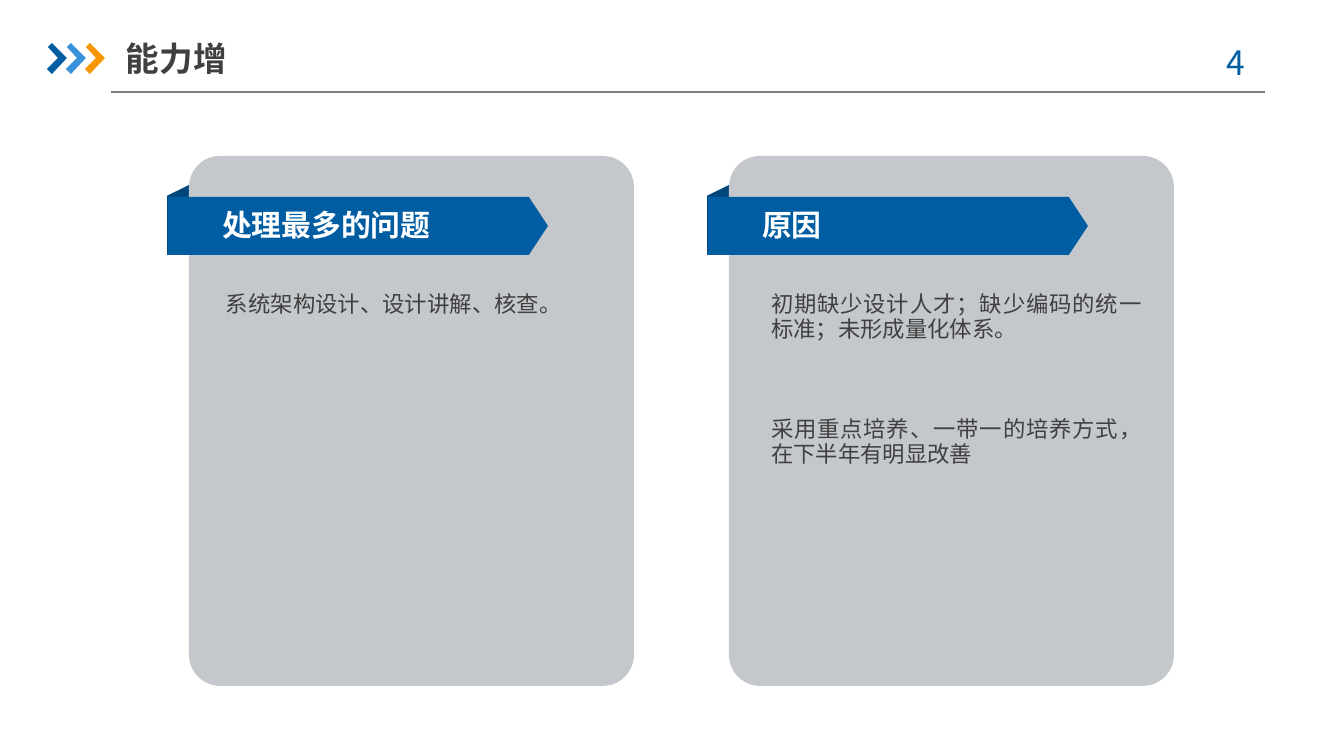
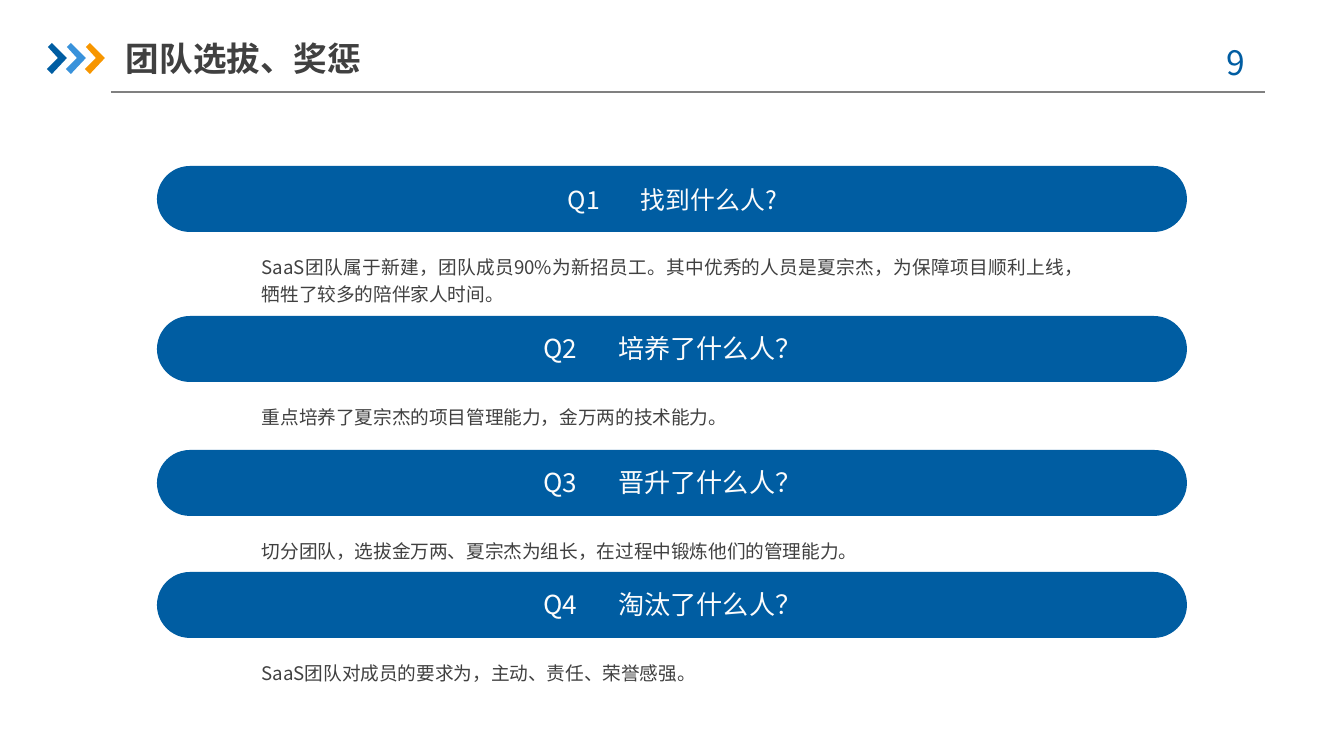
from pptx import Presentation
from pptx.dml.color import RGBColor
from pptx.enum.shapes import MSO_CONNECTOR, MSO_SHAPE
from pptx.enum.text import MSO_ANCHOR, MSO_AUTO_SIZE, PP_ALIGN
from pptx.oxml.ns import qn
from pptx.util import Pt
from lxml.etree import SubElement

SCALE = 914400 / 134.4  # EMU in one px
WIDE, HIGH = 1344, 756
FONT = "Noto Sans CJK SC"
BLUE, SKY, GOLD, NAVY = "005DA2", "3992DB", "F79600", "00467A"
INK, GRAY, PANEL, WHITE, PALE = "404040", "808080", "C4C7CB", "FFFFFF", "FCFCFC"
CHEVRON = [(1, 4), (5, 0), (20, 15), (5, 31), (0, 26), (11, 15)]

CARDS = [
    ("处理最多的问题", 37, [(137, 24, "系统架构设计、设计讲解、核查。")]),
    ("原因", 42, [
        (137, 48, "初期缺少设计人才；缺少编码的统一标准；未形成量化体系。"),
        (262, 48, "采用重点培养、一带一的培养方式，在下半年有明显改善"),
    ]),
]
# Bar top, question, size, line spacing, answer
ITEMS = [
    (166, "找到什么人?", 13.3, 1.0,
     "SaaS团队属于新建，团队成员90%为新招员工。其中优秀的人员是夏宗杰，"
     "为保障项目顺利上线，牺牲了较多的陪伴家人时间。"),
    (316, "培养了什么人？", 14, 0.9,
     "重点培养了夏宗杰的项目管理能力，金万两的技术能力。"),
    (450, "晋升了什么人？", 14, 0.9,
     "切分团队，选拔金万两、夏宗杰为组长，在过程中锻炼他们的管理能力。"),
    (572, "淘汰了什么人？", 14, 0.9,
     "SaaS团队对成员的要求为，主动、责任、荣誉感强。"),
]


def px(*nums):
    return [round(n * SCALE) for n in nums]


def tint(code):
    return RGBColor.from_string(code)


def paint(shape, code):
    shape.shadow.inherit = False
    shape.fill.solid()
    shape.fill.fore_color.rgb = tint(code)
    shape.line.fill.background()


def block(slide, kind, box, code, adj=None):
    shape = slide.shapes.add_shape(kind, *px(*box))
    paint(shape, code)
    if adj is not None:
        shape.adjustments[0] = adj
    return shape


def style(shape, size, code, bold=False, align=PP_ALIGN.LEFT, lead=None,
          anchor=MSO_ANCHOR.TOP, inset=(0, 0)):
    frame = shape.text_frame
    frame.word_wrap = True
    frame.auto_size = MSO_AUTO_SIZE.NONE
    frame.vertical_anchor = anchor
    side, edge = px(*inset)
    frame.margin_left = frame.margin_right = side
    frame.margin_top = frame.margin_bottom = edge
    para = frame.paragraphs[0]
    para.alignment = align
    para.line_spacing = lead
    font = para.font
    font.size, font.bold, font.name = Pt(size), bold, FONT
    font.color.rgb = tint(code)
    props = para._p.pPr.find(qn("a:defRPr"))
    SubElement(props, qn("a:ea")).set("typeface", FONT)


def label(slide, box, text, size, code, **look):
    shape = slide.shapes.add_textbox(*px(*box))
    shape.text_frame.text = text
    style(shape, size, code, **look)
    return shape


def header(slide, title, page):
    # Rule under the title
    rule = slide.shapes.add_connector(MSO_CONNECTOR.STRAIGHT, *px(111, 92, 1265, 92))
    rule.line.color.rgb = tint(GRAY)
    rule.line.width = Pt(0.75)
    SubElement(rule._element.spPr, qn("a:effectLst"))
    # Three chevrons
    group = slide.shapes.add_group_shape()
    for i, code in enumerate((BLUE, SKY, GOLD)):
        dots = [px(47 + 19 * i + x, 43 + y) for x, y in CHEVRON]
        path = group.shapes.build_freeform(*dots[0])
        path.add_line_segments(dots[1:], close=True)
        paint(path.convert_to_shape(), code)
    # Page number and title
    label(slide, (1191, 35, 98, 54), f"{page} ", 18, BLUE,
          align=PP_ALIGN.CENTER, inset=(13, 7))
    name = slide.shapes.title
    name.left, name.top, name.width, name.height = px(126, 30, 410, 56)
    name.text_frame.text = title
    style(name, 18, INK, bold=True, anchor=MSO_ANCHOR.MIDDLE, inset=(0, 7))


def card(slide, box, head, indent, notes):
    x, y, w, h = box
    # Folded corner, panel and ribbon
    fold = block(slide, MSO_SHAPE.FLOWCHART_DATA, (x - 44, y + 47, 74, 30), NAVY)
    fold.rotation = 270
    fold._element.spPr.xfrm.set("flipH", "1")
    block(slide, MSO_SHAPE.ROUNDED_RECTANGLE, box, PANEL, 0.07)
    block(slide, MSO_SHAPE.PENTAGON, (x - 21, y + 41, w - 65, 58), BLUE, 0.33)
    # Heading and notes
    label(slide, (x + 33, y + 51, 250, 36), head, 16, WHITE, bold=True)
    for top, tall, text in notes:
        label(slide, (x + indent, y + top, 371, tall), text, 12, INK,
              align=PP_ALIGN.JUSTIFY, lead=Pt(13))


def entry(slide, box, tag, ask, size, lead, reply):
    x, y, w, h = box
    block(slide, MSO_SHAPE.ROUNDED_RECTANGLE, box, BLUE, 0.5)
    # Tag and question, set apart by a widened space
    shape = label(slide, (x + 293, y + 11, 445, 46), tag, size, PALE,
                  align=PP_ALIGN.CENTER, lead=lead, anchor=MSO_ANCHOR.MIDDLE)
    para = shape.text_frame.paragraphs[0]
    for text in (" ", ask):
        para.add_run().text = text
    para.runs[1]._r.get_or_add_rPr().set("spc", "1880")
    # Answer
    label(slide, (x + 105, y + h + 19, 821, 54), reply, 10, INK,
          align=PP_ALIGN.JUSTIFY, lead=1.2)


def growth(slide):
    header(slide, "能力增", 4)
    for i, (head, indent, notes) in enumerate(CARDS):
        card(slide, (189 + 540 * i, 156, 445, 530), head, indent, notes)


def team(slide):
    header(slide, "团队选拔、奖惩", 9)
    for i, (top, *rest) in enumerate(ITEMS, 1):
        entry(slide, (157, top, 1030, 66), f"Q{i}", *rest)


def main():
    deck = Presentation()
    deck.slide_width, deck.slide_height = px(WIDE, HIGH)
    for build in (growth, team):
        build(deck.slides.add_slide(deck.slide_layouts[5]))
    deck.save("out.pptx")


if __name__ == "__main__":
    main()
